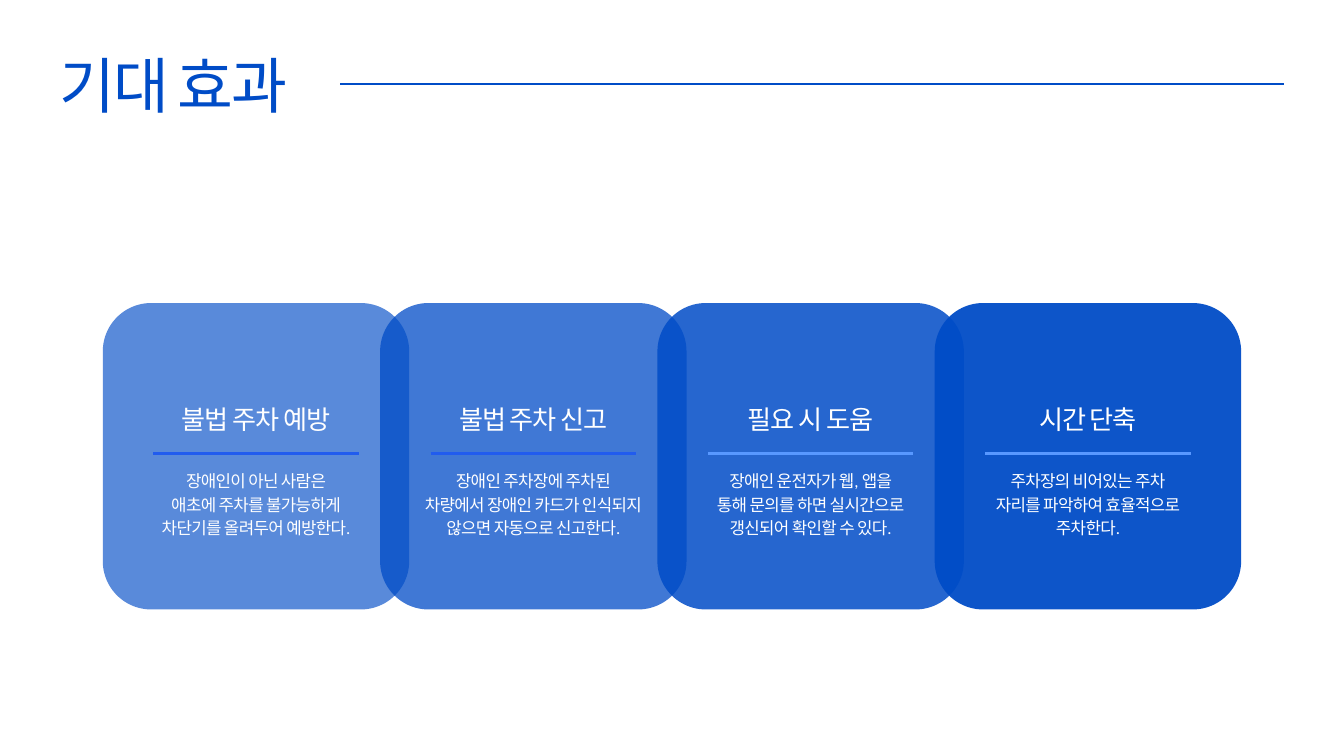
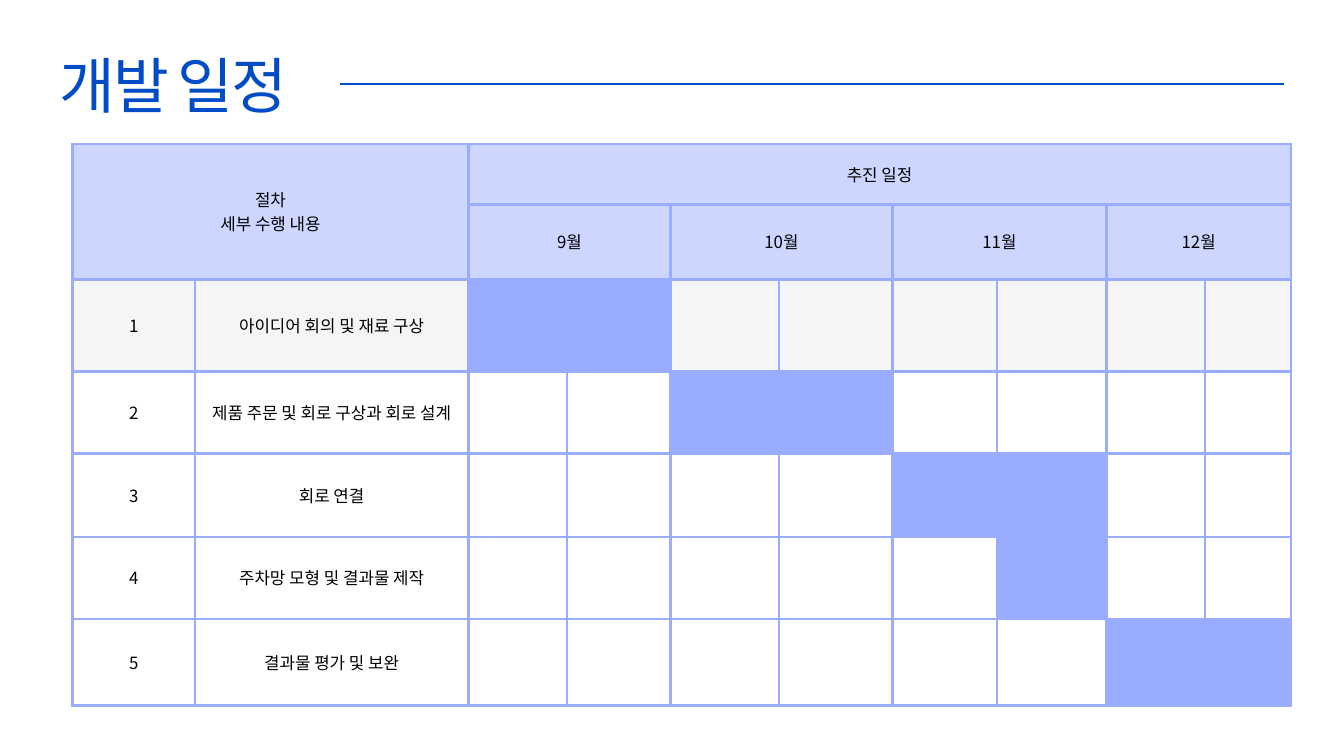
from dataclasses import dataclass

from lxml.etree import SubElement
from pptx import Presentation
from pptx.dml.color import RGBColor
from pptx.enum.shapes import MSO_CONNECTOR as Connector, MSO_SHAPE as Shape
from pptx.enum.text import MSO_ANCHOR as Anchor, MSO_AUTO_SIZE as AutoSize, PP_ALIGN as Align
from pptx.oxml.ns import qn
from pptx.presentation import Presentation as Deck
from pptx.slide import Slide
from pptx.table import _Cell as Cell
from pptx.text.text import TextFrame
from pptx.util import Inches, Pt

BLUE = RGBColor(0x00, 0x4C, 0xC7)
RULE_BLUE = RGBColor(0x21, 0x5C, 0xEE)
RULE_LIGHT = RGBColor(0x58, 0x98, 0xFF)
WHITE = RGBColor(0xFF, 0xFF, 0xFF)
BLACK = RGBColor(0x00, 0x00, 0x00)
HEADER_FILL = RGBColor(0xCD, 0xD6, 0xFF)
BAR_FILL = RGBColor(0x99, 0xAC, 0xFF)
SHADED_FILL = RGBColor(0xF6, 0xF5, 0xF5)

CARD_LEFT, CARD_TOP, CARD_SIZE = 1.53, 4.51, 4.56
CARD_STEP = 12.38 / 3
CORNER_RADIUS = 0.72
COLUMN_WIDTHS = (1.82, 4.07, 1.47, 1.54, 1.61, 1.69, 1.56, 1.63, 1.46, 1.28)
ROW_HEIGHTS = (0.9, 0.9, 1.37, 1.22, 1.24, 1.22, 1.29)
LABEL_COLUMNS = 2
HEADER_ROWS = 2
MONTHS = ("9월", "10월", "11월", "12월")


@dataclass(frozen=True)
class TextStyle:
    """Type settings shared by all paragraphs of one text."""

    size: float
    leading: float
    color: RGBColor
    font: str = "Calibri"
    tracking: float = 0
    align: Align = Align.CENTER


@dataclass(frozen=True)
class Card:
    """One expected benefit."""

    heading: str
    lines: tuple[str, ...]
    opacity: int
    rule: RGBColor


@dataclass(frozen=True)
class Task:
    """One schedule row with its first and last half-month."""

    name: str
    first: int
    last: int


TITLE = TextStyle(65, 74.8, BLUE, tracking=-2.6, align=Align.LEFT)
CARD_HEADING = TextStyle(28, 33.6, WHITE, tracking=-1.1)
CARD_BODY = TextStyle(18, 25.2, WHITE, tracking=-0.7)
TABLE_TEXT = TextStyle(18, 25.2, BLACK, font="Noto Sans CJK KR")

CARDS = (
    Card("불법 주차 예방", ("장애인이 아닌 사람은", "애초에 주차를 불가능하게",
                      "차단기를 올려두어 예방한다."), 65, RULE_BLUE),
    Card("불법 주차 신고", ("장애인 주차장에 주차된", "차량에서 장애인 카드가 인식되지",
                      "않으면 자동으로 신고한다."), 75, RULE_BLUE),
    Card("필요 시 도움", ("장애인 운전자가 웹, 앱을", "통해 문의를 하면 실시간으로",
                     "갱신되어 확인할 수 있다."), 85, RULE_LIGHT),
    Card("시간 단축", ("주차장의 비어있는 주차", "자리를 파악하여 효율적으로",
                   "주차한다."), 95, RULE_LIGHT),
)
TASKS = (
    Task("아이디어 회의 및 재료 구상", 0, 1),
    Task("제품 주문 및 회로 구상과 회로 설계", 2, 3),
    Task("회로 연결", 4, 5),
    Task("주차망 모형 및 결과물 제작", 5, 5),
    Task("결과물 평가 및 보완", 6, 7),
)


def write_lines(frame: TextFrame, lines: tuple[str, ...], style: TextStyle) -> None:
    """Write one styled paragraph per line."""
    for index, line in enumerate(lines):
        para = frame.add_paragraph() if index else frame.paragraphs[0]
        para.text = line
        para.alignment = style.align
        para.line_spacing = Pt(style.leading)
        font = para.font
        font.size, font.name = Pt(style.size), style.font
        font.color.rgb = style.color
        if style.tracking:
            font._element.set("spc", str(round(style.tracking * 100)))


def add_text(page: Slide, left: float, top: float, width: float, height: float,
             lines: tuple[str, ...], style: TextStyle) -> None:
    """Add a text box without insets."""
    box = page.shapes.add_textbox(Inches(left), Inches(top), Inches(width), Inches(height))
    frame = box.text_frame
    frame.word_wrap = True
    frame.auto_size = AutoSize.SHAPE_TO_FIT_TEXT
    frame.margin_left = frame.margin_top = frame.margin_right = frame.margin_bottom = 0
    write_lines(frame, lines, style)


def add_rule(page: Slide, left: float, right: float, top: float,
             color: RGBColor, weight: float) -> None:
    """Add a flat horizontal line."""
    rule = page.shapes.add_connector(
        Connector.STRAIGHT, Inches(left), Inches(top), Inches(right), Inches(top))
    rule.line.color.rgb = color
    rule.line.width = Pt(weight)
    SubElement(rule._element.spPr, qn("a:effectLst"))


def add_page(deck: Deck, title: str) -> Slide:
    """Add a blank page with the shared title and rule."""
    page = deck.slides.add_slide(deck.slide_layouts[6])
    add_text(page, 0.89, 0.75, 10.81, 1.21, (title,), TITLE)
    add_rule(page, 5.06, 19.11, 1.25, BLUE, 2.25)
    return page


def add_card(page: Slide, card: Card, left: float) -> None:
    """Add a translucent rounded card with heading, rule and body."""
    panel = page.shapes.add_shape(Shape.ROUNDED_RECTANGLE, Inches(left), Inches(CARD_TOP),
                                  Inches(CARD_SIZE), Inches(CARD_SIZE))
    panel.adjustments[0] = CORNER_RADIUS / CARD_SIZE
    panel.shadow.inherit = False
    panel.line.fill.background()
    panel.fill.solid()
    panel.fill.fore_color.rgb = BLUE
    color = panel._element.spPr.find(".//" + qn("a:srgbClr"))
    SubElement(color, qn("a:alpha"), val=str(card.opacity * 1000))
    add_rule(page, left + 0.75, left + 3.81, 6.75, card.rule, 3)
    add_text(page, left + 0.54, 6, 3.48, 0.53, (card.heading,), CARD_HEADING)
    add_text(page, left + 0.54, 6.96, 3.48, 1.06, card.lines, CARD_BODY)


def style_cell(cell: Cell, fill: RGBColor | None) -> None:
    """Give a cell its borders, insets and fill."""
    properties = cell._tc.get_or_add_tcPr()
    for side in ("lnL", "lnR", "lnT", "lnB"):
        border = SubElement(properties, qn(f"a:{side}"), w=str(Pt(3)))
        SubElement(SubElement(border, qn("a:solidFill")), qn("a:srgbClr"), val=str(BAR_FILL))
    cell.margin_left = cell.margin_top = cell.margin_right = cell.margin_bottom = Inches(0.21)
    cell.vertical_anchor = Anchor.MIDDLE
    if fill is None:
        cell.fill.background()
    else:
        cell.fill.solid()
        cell.fill.fore_color.rgb = fill


def cell_fill(row: int, column: int) -> RGBColor | None:
    """Choose the fill of a schedule cell."""
    if row < HEADER_ROWS:
        return HEADER_FILL
    task = TASKS[row - HEADER_ROWS]
    if task.first <= column - LABEL_COLUMNS <= task.last:
        return BAR_FILL
    return SHADED_FILL if row == HEADER_ROWS else None


def add_schedule(page: Slide) -> None:
    """Add the schedule table."""
    table = page.shapes.add_table(
        len(ROW_HEIGHTS), len(COLUMN_WIDTHS), Inches(1.08), Inches(2.14),
        Inches(sum(COLUMN_WIDTHS)), Inches(sum(ROW_HEIGHTS))).table
    table.first_row = table.horz_banding = False
    for column, width in zip(table.columns, COLUMN_WIDTHS):
        column.width = Inches(width)
    for row, height in zip(table.rows, ROW_HEIGHTS):
        row.height = Inches(height)
    for row in range(len(ROW_HEIGHTS)):
        for column in range(len(COLUMN_WIDTHS)):
            style_cell(table.cell(row, column), cell_fill(row, column))

    table.cell(0, 0).merge(table.cell(1, 1))
    table.cell(0, LABEL_COLUMNS).merge(table.cell(0, len(COLUMN_WIDTHS) - 1))
    texts = {(0, 0): ("절차", "세부 수행 내용"), (0, LABEL_COLUMNS): ("추진 일정",)}
    for index, month in enumerate(MONTHS):
        column = LABEL_COLUMNS + 2 * index
        table.cell(1, column).merge(table.cell(1, column + 1))
        texts[1, column] = (month,)
    for number, task in enumerate(TASKS, 1):
        row = HEADER_ROWS + number - 1
        texts[row, 0] = (str(number),)
        texts[row, 1] = (task.name,)
    for (row, column), lines in texts.items():
        write_lines(table.cell(row, column).text_frame, lines, TABLE_TEXT)


def main() -> None:
    """Build and save the deck."""
    deck = Presentation()
    deck.slide_width, deck.slide_height = Inches(20), Inches(11.25)
    benefits = add_page(deck, "기대 효과")
    for index, card in enumerate(CARDS):
        add_card(benefits, card, CARD_LEFT + index * CARD_STEP)
    add_schedule(add_page(deck, "개발 일정"))
    deck.save("out.pptx")


if __name__ == "__main__":
    main()
